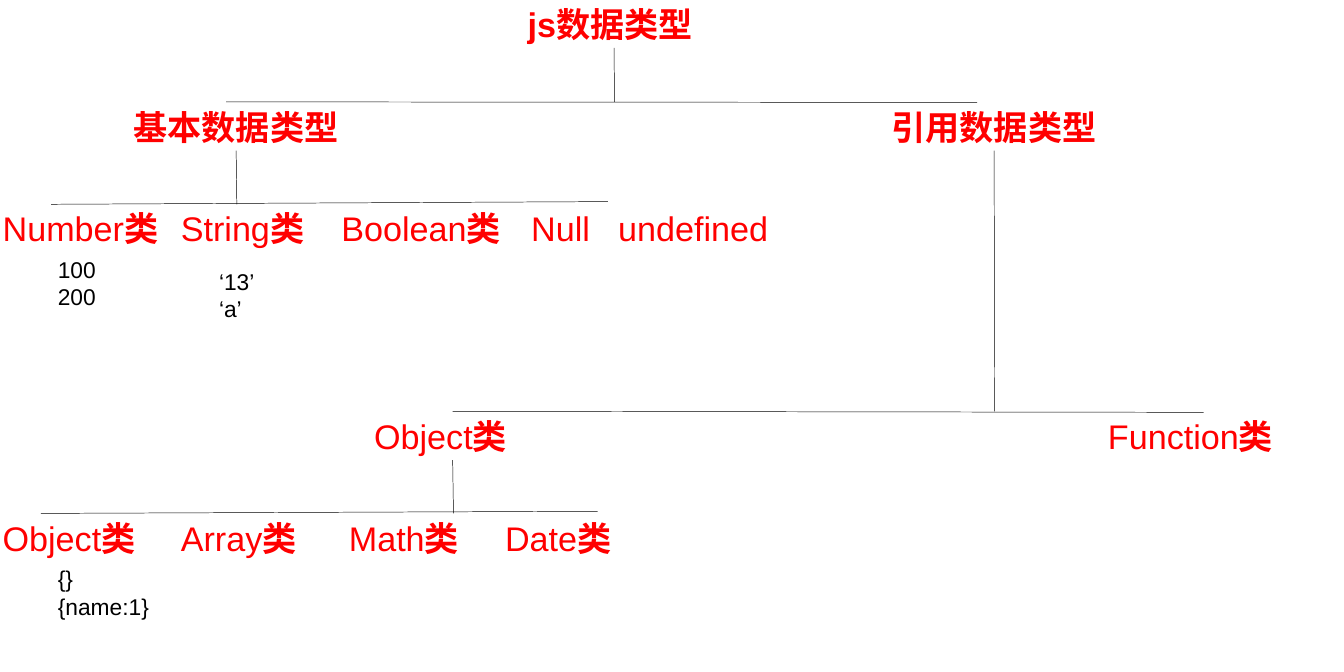
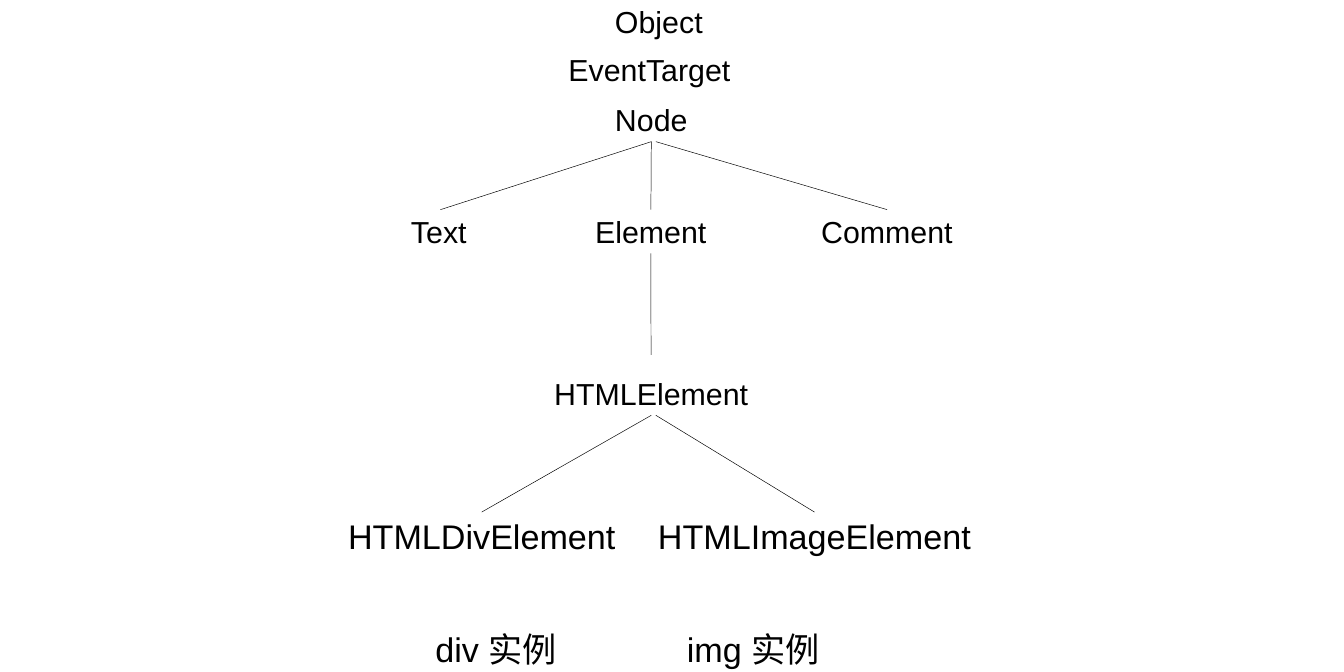
from lxml import etree
from pptx import Presentation
from pptx.dml.color import RGBColor
from pptx.enum.shapes import MSO_CONNECTOR
from pptx.enum.text import MSO_AUTO_SIZE
from pptx.oxml.ns import qn
from pptx.util import Cm, Pt

STRAIGHT = MSO_CONNECTOR.STRAIGHT
GROW = MSO_AUTO_SIZE.SHAPE_TO_FIT_TEXT
TOP, BOTTOM = 0, 2

COLORS = {"red": "FF0000", "black": "000000"}
FONT = "Arial"
LARGE, MEDIUM, SMALL = 36, 32, 24
LINE_HEIGHTS = {LARGE: 1.78, MEDIUM: 1.63, SMALL: 1.15}

presentation = Presentation()
presentation.slide_width = Cm(50)
presentation.slide_height = Cm(25)
COLUMN = presentation.slide_width / 50
ROW = presentation.slide_height / 25


def add_text(slide, text, *, left, top, width, size, color="black",
             bold=False, bold_suffix="", wrap=False):
    lines = text.split("\n")
    height = LINE_HEIGHTS[size] * len(lines)
    shape = slide.shapes.add_textbox(
        round(left * COLUMN), round(top * ROW), round(width * COLUMN), round(height * ROW))
    frame = shape.text_frame
    frame.word_wrap = wrap
    frame.auto_size = GROW
    frame.margin_right = 0
    for index, line in enumerate(lines):
        paragraph = frame.add_paragraph() if index else frame.paragraphs[0]
        for part, is_bold in ((line, bold), (bold_suffix, True)):
            if part:
                run = paragraph.add_run()
                run.text = part
                run.font.name = FONT
                run.font.size = Pt(size)
                run.font.bold = is_bold
                run.font.color.rgb = RGBColor.from_string(COLORS[color])
    return shape


def add_line(slide, start, end):
    start_point = start if isinstance(start, tuple) else (0, 0)
    end_point = end if isinstance(end, tuple) else (0, 0)
    connector = slide.shapes.add_connector(
        STRAIGHT,
        round(start_point[0] * COLUMN), round(start_point[1] * ROW),
        round(end_point[0] * COLUMN), round(end_point[1] * ROW))
    if start is not start_point:
        connector.begin_connect(start, BOTTOM)
    if end is not end_point:
        connector.end_connect(end, TOP)
    connector.line.width = Pt(0.5)
    connector.line.color.rgb = RGBColor.from_string(COLORS["black"])
    etree.SubElement(connector._element.spPr, qn("a:effectLst"))


blank_layout = presentation.slide_layouts[6]
types_slide = presentation.slides.add_slide(blank_layout)

headings = {}
for text, left, top, width in (
    ("js数据类型", 19.38, 0, 6.93),
    ("基本数据类型", 4.72, 3.82, 8.13),
    ("引用数据类型", 32.92, 3.82, 8.13),
):
    headings[text] = add_text(types_slide, text, left=left, top=top, width=width,
                              size=LARGE, color="red", bold=True)

PRIMITIVE_ROW, REFERENCE_ROW, OBJECT_ROW = 7.6, 15.34, 19.11
for text, suffix, left, top, width in (
    ("Number", "类", -0.15, PRIMITIVE_ROW, 6.6),
    ("String", "类", 6.48, PRIMITIVE_ROW, 5.38),
    ("Boolean", "类", 12.45, PRIMITIVE_ROW, 6.73),
    ("Null", "", 19.51, PRIMITIVE_ROW, 2.8),
    ("undefined", "", 22.75, PRIMITIVE_ROW, 6.2),
    ("Object", "类", 13.67, REFERENCE_ROW, 5.74),
    ("Function", "类", 40.97, REFERENCE_ROW, 6.96),
    ("Object", "类", -0.15, OBJECT_ROW, 5.74),
    ("Array", "类", 6.48, OBJECT_ROW, 5.11),
    ("Math", "类", 12.73, OBJECT_ROW, 4.9),
    ("Date", "类", 18.54, OBJECT_ROW, 4.75),
):
    add_text(types_slide, text, left=left, top=top, width=width,
             size=LARGE, color="red", bold_suffix=suffix)

for text, left, top, width in (
    ("100\n200", 1.9, 9.39, 1.9),
    ("‘13’\n‘a’", 7.9, 9.83, 1.83),
    ("{}\n{name:1}", 1.9, 20.9, 3.89),
):
    add_text(types_slide, text, left=left, top=top, width=width, size=SMALL)

for start, end in (
    (headings["js数据类型"], (22.86, 3.79)),
    ((8.41, 3.79), (36.35, 3.81)),
    (headings["基本数据类型"], (8.81, 7.6)),
    ((1.9, 7.6), (22.61, 7.5)),
    (headings["引用数据类型"], (37, 15.3)),
    ((16.84, 15.3), (44.78, 15.34)),
    ((16.84, 17.12), (16.87, 19.1)),
    ((1.52, 19.1), (22.23, 19.02)),
):
    add_line(types_slide, start, end)

nodes_slide = presentation.slides.add_slide(blank_layout)

NODE_ROW, ELEMENT_ROW, TAG_ROW, INSTANCE_ROW = 7.8, 13.82, 19.05, 23.24
nodes = {}
for text, left, top, width, size in (
    ("Object", 22.63, 0, 3.94, MEDIUM),
    ("EventTarget", 20.9, 1.77, 6.65, MEDIUM),
    ("Node", 22.63, 3.64, 3.2, MEDIUM),
    ("Text", 15.04, NODE_ROW, 2.69, MEDIUM),
    ("Element", 21.89, NODE_ROW, 4.65, MEDIUM),
    ("Comment", 30.3, NODE_ROW, 5.41, MEDIUM),
    ("HTMLElement", 20.37, ELEMENT_ROW, 7.72, MEDIUM),
    ("HTMLDivElement", 12.7, TAG_ROW, 10.44, LARGE),
    ("HTMLImageElement", 24.23, TAG_ROW, 12.14, LARGE),
    ("div 实例", 15.95, INSTANCE_ROW, 5.33, LARGE),
    ("img 实例", 25.3, INSTANCE_ROW, 5.74, LARGE),
):
    nodes[text] = add_text(nodes_slide, text, left=left, top=top, width=width,
                           size=size, wrap=text == "Object")

for start, end in (
    (nodes["Node"], nodes["Text"]),
    (nodes["Node"], nodes["Element"]),
    ((24.4, 5.27), nodes["Comment"]),
    (nodes["Element"], (24.22, 13.2)),
    (nodes["HTMLElement"], nodes["HTMLDivElement"]),
    ((24.4, 15.45), nodes["HTMLImageElement"]),
):
    add_line(nodes_slide, start, end)

presentation.save("out.pptx")
